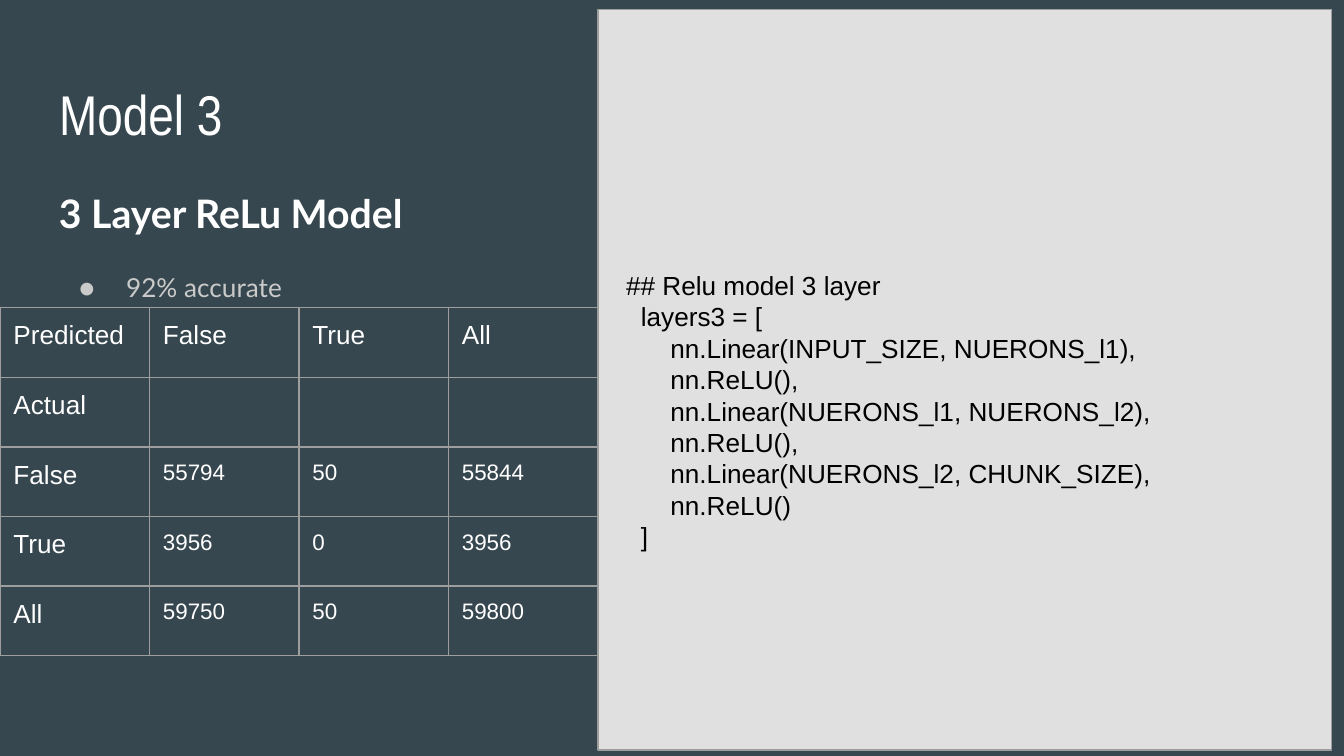
from lxml import etree
from pptx import Presentation
from pptx.dml.color import RGBColor
from pptx.enum.shapes import MSO_SHAPE
from pptx.enum.text import MSO_ANCHOR, MSO_AUTO_SIZE, PP_ALIGN
from pptx.oxml.ns import qn
from pptx.util import Inches, Pt

RECT = MSO_SHAPE.RECTANGLE
TOP, MIDDLE = MSO_ANCHOR.TOP, MSO_ANCHOR.MIDDLE
LEFT = PP_ALIGN.LEFT
NO_FIT = MSO_AUTO_SIZE.NONE

SLATE = RGBColor(0x37, 0x47, 0x4F)
PANEL = RGBColor(0xE0, 0xE0, 0xE0)
RULE = RGBColor(0x9E, 0x9E, 0x9E)
MUTED = RGBColor(0xCA, 0xCA, 0xCA)
WHITE = RGBColor(0xFF, 0xFF, 0xFF)
BLACK = RGBColor(0, 0, 0)

WIDTH = Inches(10)
HEIGHT = WIDTH * 9 // 16
PANEL_LEFT = Inches(4.45)
COL, ROW = PANEL_LEFT // 4, Inches(2.59) // 5
MARGIN = Inches(0.34)
PAD = Inches(0.1)
INSETS = {f"margin_{side}": PAD for side in ("left", "top", "right", "bottom")}
CODE_STEP = Inches(0.11)

HEADER = {"name": "Arial", "size": Pt(14)}
COUNT = {"name": "Arial", "size": Pt(12)}

CODE = [
    (1, "## Relu model 3 layer"),
    (2, "layers3 = ["),
    (4, "nn.Linear(INPUT_SIZE, NUERONS_l1),"),
    (4, "nn.ReLU(),"),
    (4, "nn.Linear(NUERONS_l1, NUERONS_l2),"),
    (4, "nn.ReLU(),"),
    (4, "nn.Linear(NUERONS_l2, CHUNK_SIZE),"),
    (4, "nn.ReLU()"),
    (2, "]"),
]

CONFUSION = [
    ["Predicted", "False", "True", "All"],
    ["Actual", "", "", ""],
    ["False", "55794", "50", "55844"],
    ["True", "3956", "0", "3956"],
    ["All", "59750", "50", "59800"],
]


def set_attrs(obj, values):
    for name, value in values.items():
        setattr(obj, name, value)


def setup_frame(tf, anchor=TOP, **margins):
    set_attrs(tf, {"word_wrap": True, "auto_size": NO_FIT,
                   "vertical_anchor": anchor, **INSETS, **margins})


def write(p, text, color, font, **spacing):
    set_attrs(p, {"alignment": LEFT, **spacing})
    r = p.add_run()
    r.text = text
    set_attrs(r.font, font)
    r.font.color.rgb = color


def set_indent(p, left, first=0):
    pPr = p._p.get_or_add_pPr()
    pPr.set("marL", str(int(left)))
    pPr.set("indent", str(int(first)))
    return pPr


def add_bullet(p, color):
    pPr = set_indent(p, Inches(0.5), -Inches(0.35))
    clr = etree.SubElement(pPr, qn("a:buClr"))
    etree.SubElement(clr, qn("a:srgbClr"), val=str(color))
    etree.SubElement(pPr, qn("a:buFont"), typeface="Lato")
    etree.SubElement(pPr, qn("a:buChar"), char="●")


def add_borders(cell):
    tcPr = cell._tc.get_or_add_tcPr()
    for side in ("lnL", "lnR", "lnT", "lnB"):
        ln = etree.SubElement(tcPr, qn(f"a:{side}"), w=str(int(Pt(0.75))))
        fill = etree.SubElement(ln, qn("a:solidFill"))
        etree.SubElement(fill, qn("a:srgbClr"), val=str(RULE))


def add_code_panel(s):
    sp = s.shapes.add_shape(RECT, PANEL_LEFT, Inches(0.07),
                            Inches(5.46), Inches(5.51))
    sp.shadow.inherit = False
    sp.fill.solid()
    sp.fill.fore_color.rgb = PANEL
    sp.line.color.rgb = RULE
    sp.line.width = Pt(0.75)
    tf = sp.text_frame
    setup_frame(tf, MIDDLE, margin_top=Inches(0.56))
    for i, (depth, text) in enumerate(CODE):
        p = tf.add_paragraph() if i else tf.paragraphs[0]
        write(p, text, BLACK, HEADER)
        set_indent(p, depth * CODE_STEP)


def add_title(s, text):
    sp = s.shapes.title
    set_attrs(sp, {"left": MARGIN, "top": Inches(0.49),
                   "width": Inches(9.32), "height": Inches(0.63)})
    setup_frame(sp.text_frame)
    write(sp.text_frame.paragraphs[0], text, WHITE,
          {"name": "Arial Narrow", "size": Pt(30)})


def add_summary(s, heading, bullet):
    sp = s.shapes.add_textbox(MARGIN, Inches(1.26), Inches(3.99), Inches(3.74))
    tf = sp.text_frame
    setup_frame(tf)
    write(tf.paragraphs[0], heading, WHITE,
          {"name": "Lato", "size": Pt(21), "bold": True}, line_spacing=1.15)
    p = tf.add_paragraph()
    write(p, bullet, MUTED, {"name": "Lato", "size": Pt(14)},
          line_spacing=1.15, space_before=Pt(16))
    add_bullet(p, MUTED)


def add_matrix(s, rows):
    n_rows, n_cols = len(rows), len(rows[0])
    table = s.shapes.add_table(n_rows, n_cols, 0, Inches(2.29),
                               n_cols * COL, n_rows * ROW).table
    set_attrs(table, {"first_row": False, "horz_banding": False})
    for i, row in enumerate(rows):
        for j, text in enumerate(row):
            cell = table.cell(i, j)
            set_attrs(cell, INSETS)
            add_borders(cell)
            cell.fill.background()
            if text:
                font = COUNT if i > 1 and j else HEADER
                write(cell.text_frame.paragraphs[0], text, WHITE, font)


def main():
    prs = Presentation()
    set_attrs(prs, {"slide_width": WIDTH, "slide_height": HEIGHT})
    s = prs.slides.add_slide(prs.slide_layouts[5])
    s.background.fill.solid()
    s.background.fill.fore_color.rgb = SLATE
    add_code_panel(s)
    add_title(s, "Model 3")
    add_summary(s, "3 Layer ReLu Model", "92% accurate")
    add_matrix(s, CONFUSION)
    prs.save("out.pptx")


main()
